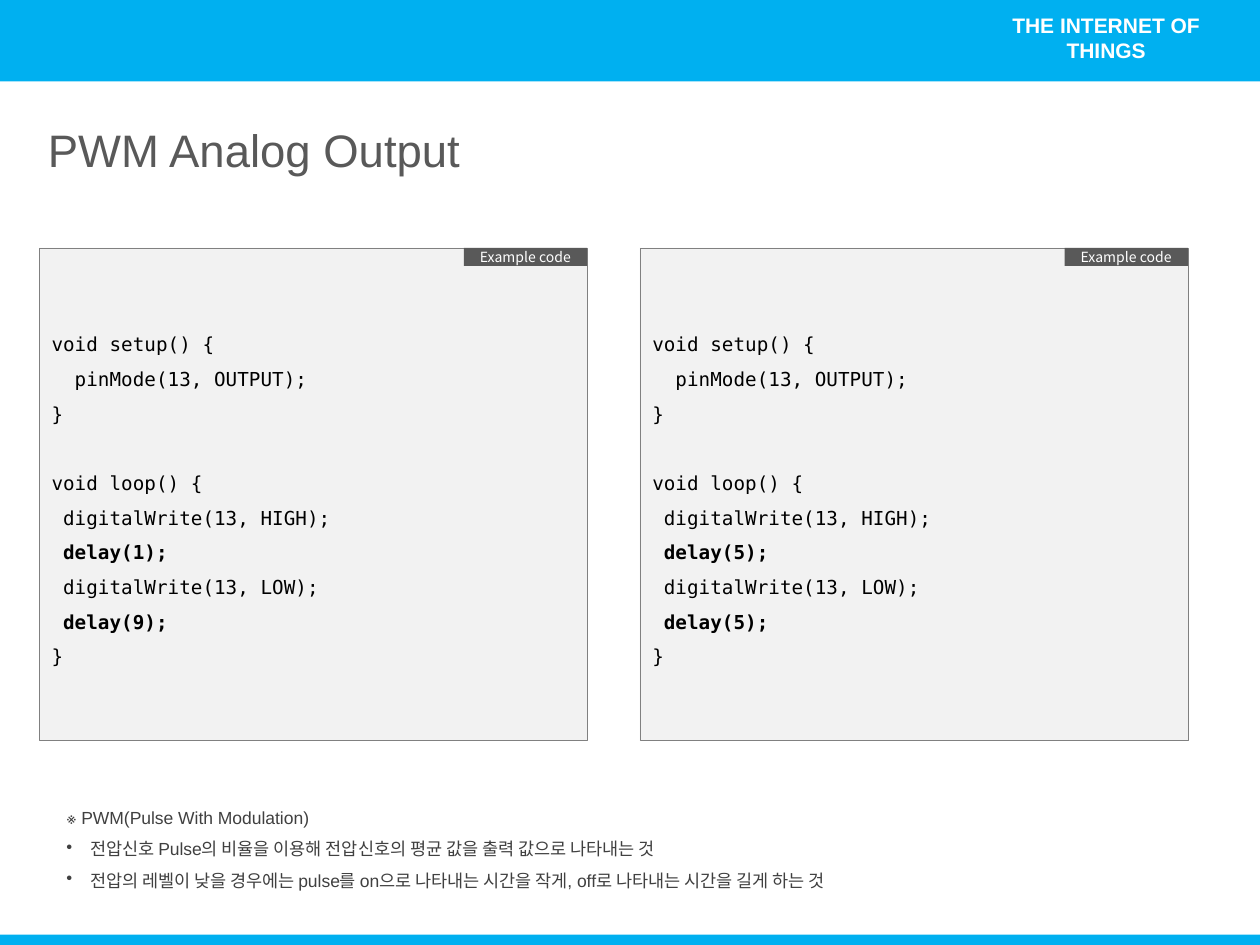
import pptx
import pptx.dml.color
import pptx.enum.shapes
import pptx.enum.text
import pptx.oxml.ns
import pptx.util
from lxml import etree

Cm = pptx.util.Cm
ALIGN = pptx.enum.text.PP_ALIGN
ANCHOR = pptx.enum.text.MSO_ANCHOR

COLORS = {
    "band": "00B0F0",
    "white": "FFFFFF",
    "title": "595959",
    "panel": "F2F2F2",
    "border": "808080",
    "tag": "595959",
    "code": "000000",
    "note": "404040",
}
SANS, MONO, KOREAN = "Arial", "DejaVu Sans Mono", "Noto Sans CJK KR"

SLIDE_W, SLIDE_H = 25.4, 19.05
PANEL_TOP, PANEL_W, PANEL_H = 5, 11.05, 9.93
PANEL_LEFTS = (0.79, 12.9)
TAG_W, TAG_H = 2.49, 0.36
DELAYS = ((1, 9), (5, 5))

NOTES = (
    "※ PWM(Pulse With Modulation)",
    "전압신호 Pulse의 비율을 이용해 전압신호의 평균 값을 출력 값으로 나타내는 것",
    "전압의 레벨이 낮을 경우에는 pulse를 on으로 나타내는 시간을 작게, "
    "off로 나타내는 시간을 길게 하는 것",
)


def rgb(name):
    return pptx.dml.color.RGBColor.from_string(COLORS[name])


def add_bullet(paragraph, indent=0.48):
    properties = paragraph._p.get_or_add_pPr()
    properties.set("marL", str(Cm(indent)))
    properties.set("indent", str(Cm(-indent)))
    bullet = etree.SubElement(properties, pptx.oxml.ns.qn("a:buChar"))
    bullet.set("char", "•")


def write_text(frame, lines, *, size, color, font=SANS, bold=lambda line: False,
               bullet=lambda line: False, align=ALIGN.LEFT, anchor=ANCHOR.TOP,
               spacing=None, wrap=True):
    """Fill a frame with one paragraph per line; bold and bullet test each line."""
    frame.word_wrap = wrap
    frame.vertical_anchor = anchor
    for index, line in enumerate(lines):
        paragraph = frame.add_paragraph() if index else frame.paragraphs[0]
        if bullet(line):
            add_bullet(paragraph)
        paragraph.alignment = align
        if spacing:
            paragraph.line_spacing = spacing
        run = paragraph.add_run()
        run.text = line
        run.font.name = font
        run.font.size = pptx.util.Pt(size)
        run.font.bold = bold(line)
        run.font.color.rgb = rgb(color)
        east_asian = etree.SubElement(run._r.get_or_add_rPr(), pptx.oxml.ns.qn("a:ea"))
        east_asian.set("typeface", KOREAN)


def add_box(slide, left, top, width, height, fill, border=None):
    box = slide.shapes.add_shape(pptx.enum.shapes.MSO_SHAPE.RECTANGLE,
                                 Cm(left), Cm(top), Cm(width), Cm(height))
    box.shadow.inherit = False
    box.fill.solid()
    box.fill.fore_color.rgb = rgb(fill)
    if border:
        box.line.color.rgb = rgb(border)
        box.line.width = pptx.util.Pt(0.25)
    else:
        box.line.fill.background()
    return box


def add_text(slide, left, top, width, height, lines, **text_format):
    text_box = slide.shapes.add_textbox(Cm(left), Cm(top), Cm(width), Cm(height))
    write_text(text_box.text_frame, lines, **text_format)


def set_title(slide, text):
    title = slide.shapes.title
    title.left, title.top, title.width, title.height = Cm(0.71), Cm(2.34), Cm(9.4), Cm(1.37)
    write_text(title.text_frame, [text], size=26, color="title", wrap=False)


def sketch_lines(high_delay, low_delay):
    return (
        "void setup() {",
        "  pinMode(13, OUTPUT);",
        "}",
        " ",
        "void loop() {",
        " digitalWrite(13, HIGH);",
        f" delay({high_delay});",
        " digitalWrite(13, LOW);",
        f" delay({low_delay});",
        "}",
    )


def add_code_panel(slide, left, code):
    panel = add_box(slide, left, PANEL_TOP, PANEL_W, PANEL_H, "panel", "border")
    write_text(panel.text_frame, code, size=11, color="code", font=MONO,
               bold=lambda line: "delay" in line, anchor=ANCHOR.MIDDLE, spacing=1.5)
    tag = add_box(slide, left + PANEL_W - TAG_W, PANEL_TOP, TAG_W, TAG_H, "tag")
    write_text(tag.text_frame, ["Example code"], size=8, color="white", font=KOREAN,
               align=ALIGN.CENTER, anchor=ANCHOR.MIDDLE)


def main():
    deck = pptx.Presentation()
    deck.slide_width, deck.slide_height = Cm(SLIDE_W), Cm(SLIDE_H)
    slide = deck.slides.add_slide(deck.slide_layouts[5])

    add_box(slide, 0, 0, SLIDE_W, 1.64, "band")
    add_box(slide, 0, SLIDE_H - 0.21, SLIDE_W, 0.21, "band")
    add_text(slide, 19.76, 0.13, 5.08, 1.3, ["THE INTERNET OF THINGS"], size=12,
             color="white", bold=lambda line: True, align=ALIGN.CENTER)
    set_title(slide, "PWM Analog Output")

    for left, delays in zip(PANEL_LEFTS, DELAYS):
        add_code_panel(slide, left, sketch_lines(*delays))

    add_text(slide, 1.09, 15.93, 17.7, 2.18, NOTES, size=10, color="note",
             bullet=lambda line: not line.startswith("※"), spacing=1.5, wrap=False)
    deck.save("out.pptx")


if __name__ == "__main__":
    main()
